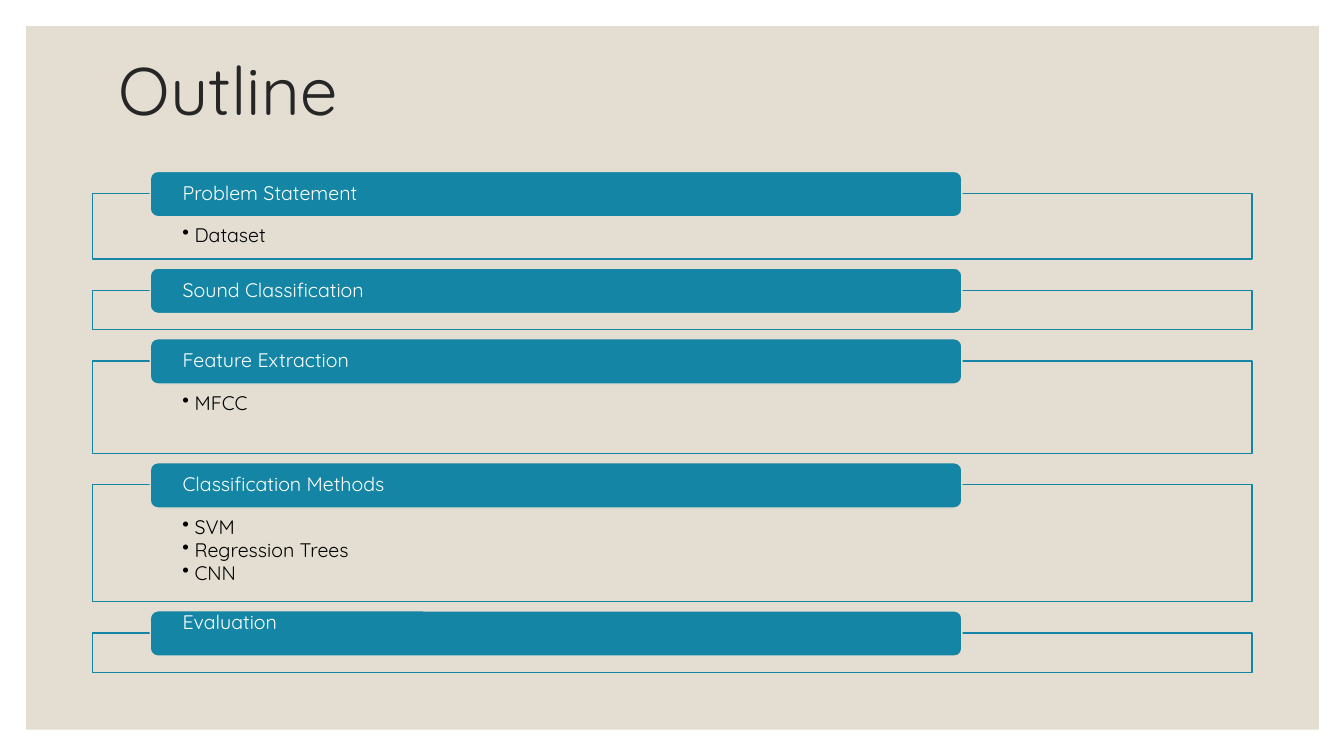
from lxml import etree
from pptx import Presentation
from pptx.dml.color import RGBColor
from pptx.enum.shapes import MSO_SHAPE
from pptx.enum.text import MSO_ANCHOR, PP_ALIGN
from pptx.oxml.ns import qn
from pptx.util import Inches, Pt

RECT, ROUND = MSO_SHAPE.RECTANGLE, MSO_SHAPE.ROUNDED_RECTANGLE
TOP, MIDDLE = MSO_ANCHOR.TOP, MSO_ANCHOR.MIDDLE
LEFT = PP_ALIGN.LEFT

FONT = "Quicksand"
SAND, TEAL, WHITE, BLACK, DARK = "E3DED1", "1485A4", "FFFFFF", "000000", "262626"

# Heading, bullets, frame height, heading anchor
TOPICS = [
    ("Problem Statement", ["Dataset"], 0.65, MIDDLE),
    ("Sound Classification", [], 0.39, MIDDLE),
    ("Feature Extraction", ["MFCC"], 0.92, MIDDLE),
    ("Classification Methods", ["SVM", "Regression Trees", "CNN"], 1.16, MIDDLE),
    ("Evaluation", [], 0.39, TOP),
]
START, GAP, RISE = 1.92, 0.31, 0.22


def color(code):
    return RGBColor.from_string(code)


def add_box(slide, kind, at, fill, line=None):
    box = slide.shapes.add_shape(kind, *map(Inches, at))
    box.shadow.inherit = False
    box.fill.solid()
    box.fill.fore_color.rgb = color(fill)
    if line:
        box.line.color.rgb = color(line)
        box.line.width = Pt(1)
    else:
        box.line.fill.background()
    return box


def set_text(shape, lines, size, ink, anchor, insets, after=0):
    frame = shape.text_frame
    frame.word_wrap = True
    frame.vertical_anchor = anchor
    (frame.margin_left, frame.margin_top,
     frame.margin_right, frame.margin_bottom) = map(Inches, insets)
    frame.text = "\n".join(lines)
    for para in frame.paragraphs:
        para.alignment = LEFT
        para.line_spacing = 0.9
        para.space_after = Pt(after)
        para.font.name = FONT
        para.font.size = Pt(size)
        para.font.color.rgb = color(ink)


def add_bullets(shape):
    for para in shape.text_frame.paragraphs:
        props = para._p.get_or_add_pPr()
        props.set("marL", str(Inches(0.12)))
        props.set("indent", str(-Inches(0.12)))
        mark = etree.Element(qn("a:buChar"), char="•")
        props.find(qn("a:defRPr")).addprevious(mark)


def add_topic(slide, top, head, points, height, anchor):
    # Outlined frame with its bullets
    frame = add_box(slide, RECT, (0.92, top, 11.5, height), SAND, TEAL)
    if points:
        set_text(frame, points, 14, BLACK, TOP, (0.89, 0.32, 0.89, 0.11), 1.4)
        add_bullets(frame)
    # Heading bar over the frame's top edge
    bar = add_box(slide, ROUND, (1.49, top - RISE, 8.05, 0.45), TEAL, SAND)
    set_text(bar, [head], 14, WHITE, anchor, (0.3, 0, 0.3, 0))


def main():
    deck = Presentation()
    deck.slide_width, deck.slide_height = Inches(13.33), Inches(7.5)
    slide = deck.slides.add_slide(deck.slide_layouts[5])

    # Title on a sand panel
    title = slide.shapes.title
    title.left, title.top = Inches(1.08), Inches(0.18)
    title.width, title.height = Inches(11), Inches(1.5)
    set_text(title, ["Outline"], 48, DARK, MIDDLE, (0.1, 0.05, 0.1, 0.05))
    panel = add_box(slide, RECT, (0.26, 0.26, 12.82, 6.98), SAND)
    title._element.addprevious(panel._element)

    # Topics stacked with equal gaps
    top = START
    for head, points, height, anchor in TOPICS:
        add_topic(slide, top, head, points, height, anchor)
        top += height + GAP

    deck.save("out.pptx")


if __name__ == "__main__":
    main()
